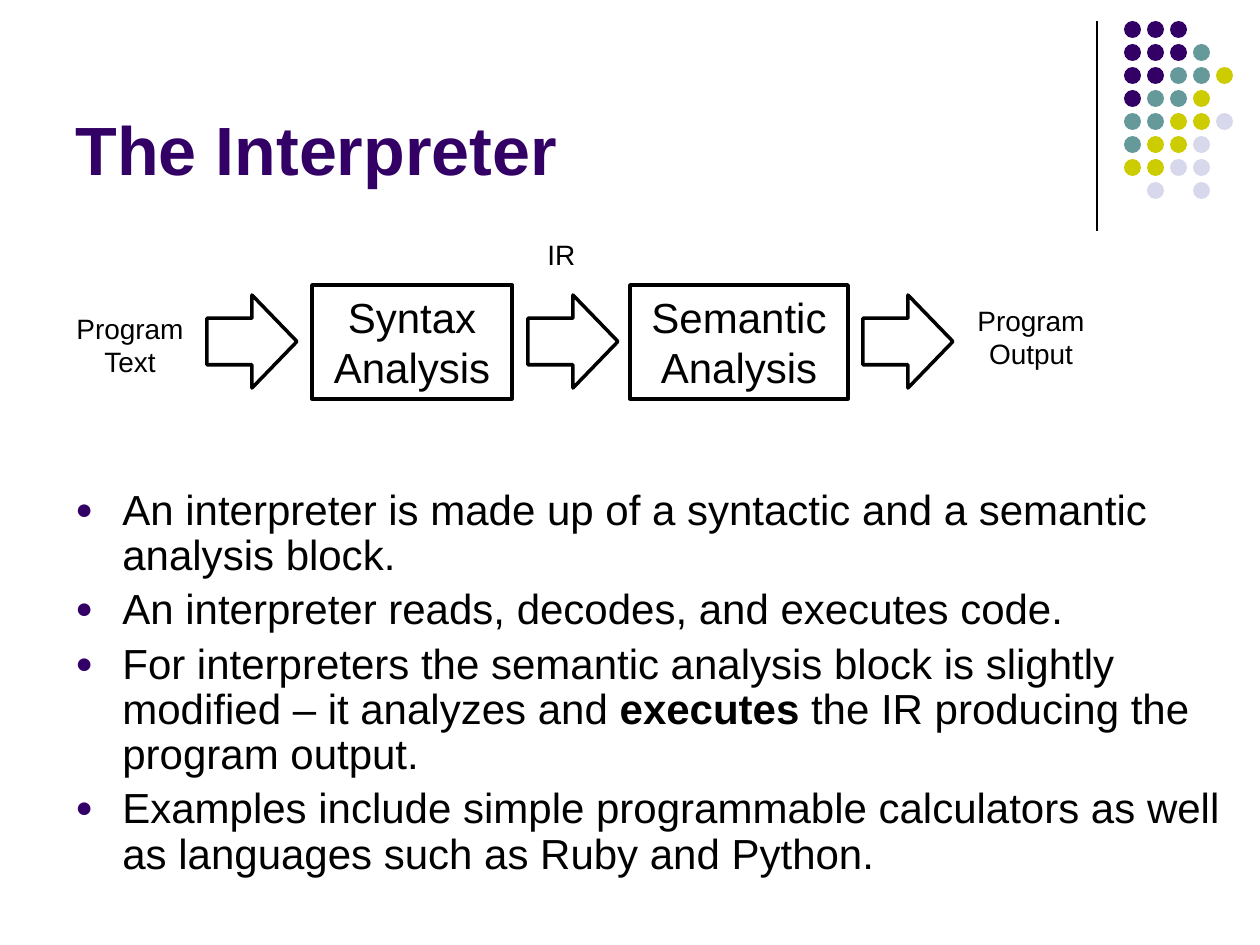
"""Build the slide on the structure of an interpreter."""
import pptx
import pptx.dml.color
import pptx.enum.shapes
import pptx.enum.text
import pptx.oxml
import pptx.oxml.ns
import pptx.util
from lxml import etree

RGB = pptx.dml.color.RGBColor
SHAPE = pptx.enum.shapes.MSO_SHAPE
ALIGN = pptx.enum.text.PP_ALIGN
ANCHOR = pptx.enum.text.MSO_ANCHOR
AUTO = pptx.enum.text.MSO_AUTO_SIZE
PURPLE = RGB(0x33, 0x00, 0x66)
TEAL = RGB(0x66, 0x99, 0x99)
OLIVE = RGB(0xCC, 0xCC, 0x00)
LILAC = RGB(0xD8, 0xD8, 0xEC)
BLACK = RGB(0x00, 0x00, 0x00)
WHITE = RGB(0xFF, 0xFF, 0xFF)
PX = 914400 / 126


def px(*lengths):
    return [round(n * PX) for n in lengths]


def write(tf, paragraphs, size, align, **frame):
    for name, value in frame.items():
        setattr(tf, name, value)
    tf.text = "\n".join(paragraphs)
    for p in tf.paragraphs:
        p.alignment = align
        for r in p.runs:
            r.font.name = "Arial"
            r.font.size = pptx.util.Pt(size)
            r.font.color.rgb = BLACK


prs = pptx.Presentation()
prs.slide_width, prs.slide_height = px(1260, 945)
s = prs.slides.add_slide(prs.slide_layouts[5])

rule = s.shapes.add_connector(pptx.enum.shapes.MSO_CONNECTOR.STRAIGHT, *px(1097, 21, 1097, 231))
rule.line.color.rgb = BLACK
rule.line.width = pptx.util.Pt(0.75)
etree.SubElement(rule._element.spPr, pptx.oxml.ns.qn("a:effectLst"))

DOT_COLORS = {"P": PURPLE, "T": TEAL, "O": OLIVE, "L": LILAC}
DOT_ROWS = ["PPP", "PPPT", "PPTTO", "PTTO", "TTOOL", "TOOL", "OOLL", " L L"]
for row, codes in enumerate(DOT_ROWS):
    for col, code in enumerate(codes):
        if code in DOT_COLORS:
            sp = s.shapes.add_shape(SHAPE.OVAL, *px(1124 + 23 * col, 21 + 23 * row, 17, 17))
            sp.shadow.inherit = False
            sp.fill.solid()
            sp.fill.fore_color.rgb = DOT_COLORS[code]
            sp.line.fill.background()

title = s.shapes.title
title.left, title.top, title.width, title.height = px(63, 16, 1040, 179)
write(title.text_frame, ["The Interpreter"], 39, ALIGN.LEFT,
      vertical_anchor=ANCHOR.BOTTOM, word_wrap=True, auto_size=AUTO.NONE)
title_font = title.text_frame.paragraphs[0].runs[0].font
title_font.bold = True
title_font.color.rgb = PURPLE

BULLETS = [
    ["An interpreter is made up of a syntactic and a semantic analysis block."],
    ["An interpreter reads, decodes, and executes code."],
    ["For interpreters the semantic analysis block is slightly modified – it analyzes and ",
     "executes", " the IR producing the program output."],
    ["Examples include simple programmable calculators as well as languages such as Ruby and Python."],
]
BULLET_XML = [
    '<a:buClr %s><a:srgbClr val="330066"/></a:buClr>',
    '<a:buSzPct %s val="70000"/>',
    '<a:buFont %s typeface="Arial"/>',
    '<a:buChar %s char="●"/>',
]
tf = s.shapes.add_textbox(*px(63, 483, 1176, 294)).text_frame
tf.word_wrap = True
for i, parts in enumerate(BULLETS):
    p = tf.add_paragraph() if i else tf.paragraphs[0]
    pPr = p._p.get_or_add_pPr()
    indent = px(47)[0]
    pPr.set("marL", str(indent))
    pPr.set("indent", str(-indent))
    for xml in BULLET_XML:
        pPr.append(pptx.oxml.parse_xml(xml % pptx.oxml.ns.nsdecls("a")))
    p.line_spacing = 0.9
    if i:
        p.space_before = pptx.util.Pt(5)
    for part in parts:
        r = p.add_run()
        r.text = part
        font_format = {"name": "Arial", "size": pptx.util.Pt(24), "bold": part == "executes"}
        for name, value in font_format.items():
            setattr(r.font, name, value)
        r.font.color.rgb = BLACK

BLOCKS = [(SHAPE.RECTANGLE, 312, 285, 200, 114, ["Syntax", "Analysis"]),
          (SHAPE.RECTANGLE, 630, 285, 218, 114, ["Semantic", "Analysis"])]
ARROWS = [(SHAPE.RIGHT_ARROW, left, 295, 90, 93, []) for left in (207, 528, 863)]
for kind, left, top, width, height, words in BLOCKS + ARROWS:
    sp = s.shapes.add_shape(kind, *px(left, top, width, height))
    sp.shadow.inherit = False
    sp.fill.solid()
    sp.fill.fore_color.rgb = WHITE
    sp.line.color.rgb = BLACK
    sp.line.width = pptx.util.Pt(2)
    if words:
        write(sp.text_frame, words, 24, ALIGN.CENTER, word_wrap=True)

LABELS = [(63, 305, 134, 81, ["Program\vText"], ALIGN.CENTER),
          (535, 231, 54, 47, ["IR"], ALIGN.LEFT),
          (964, 297, 134, 81, ["Program", "Output"], ALIGN.CENTER)]
for left, top, width, height, words, align in LABELS:
    box = s.shapes.add_textbox(*px(left, top, width, height))
    write(box.text_frame, words, 16, align, word_wrap=False)

prs.save("out.pptx")
